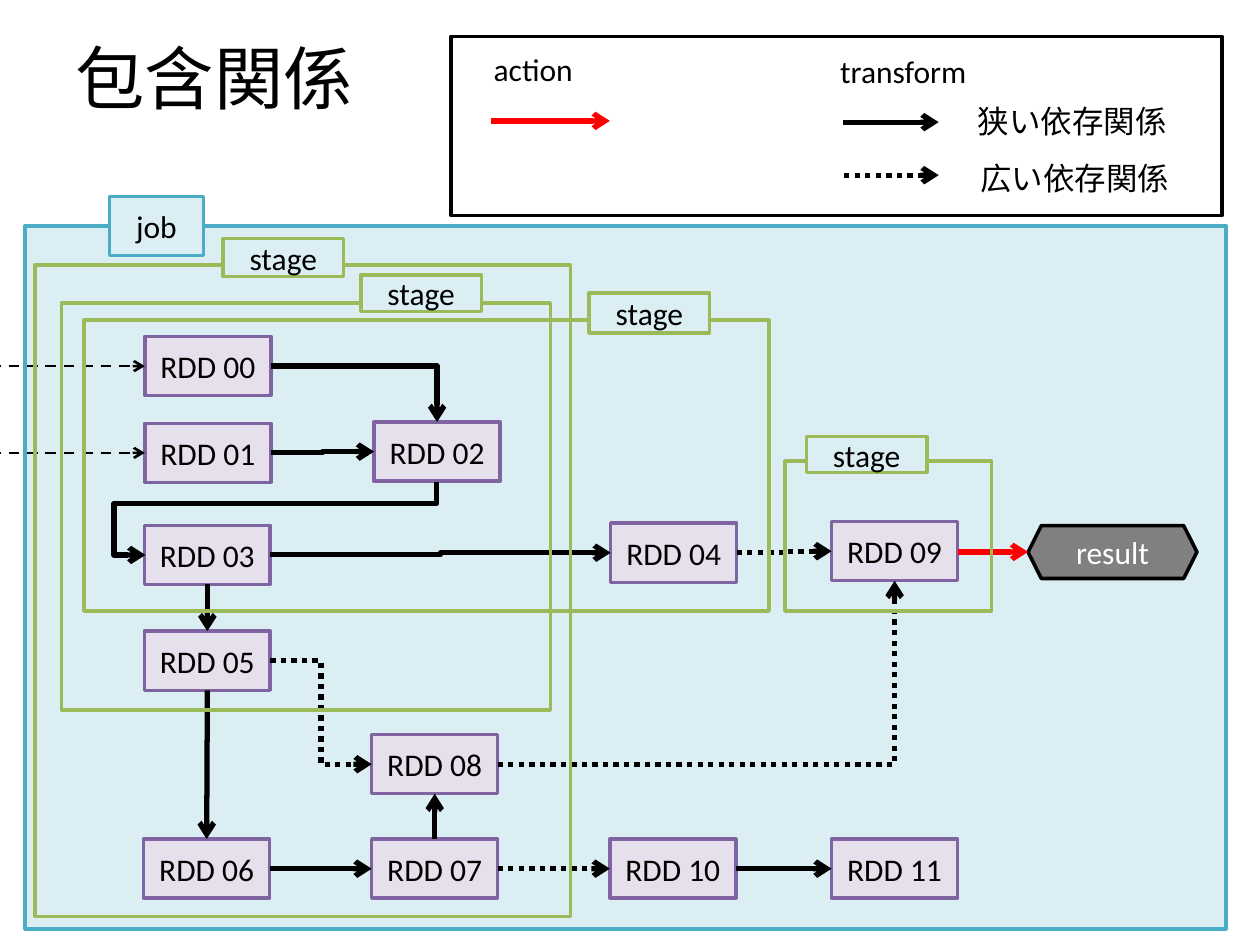
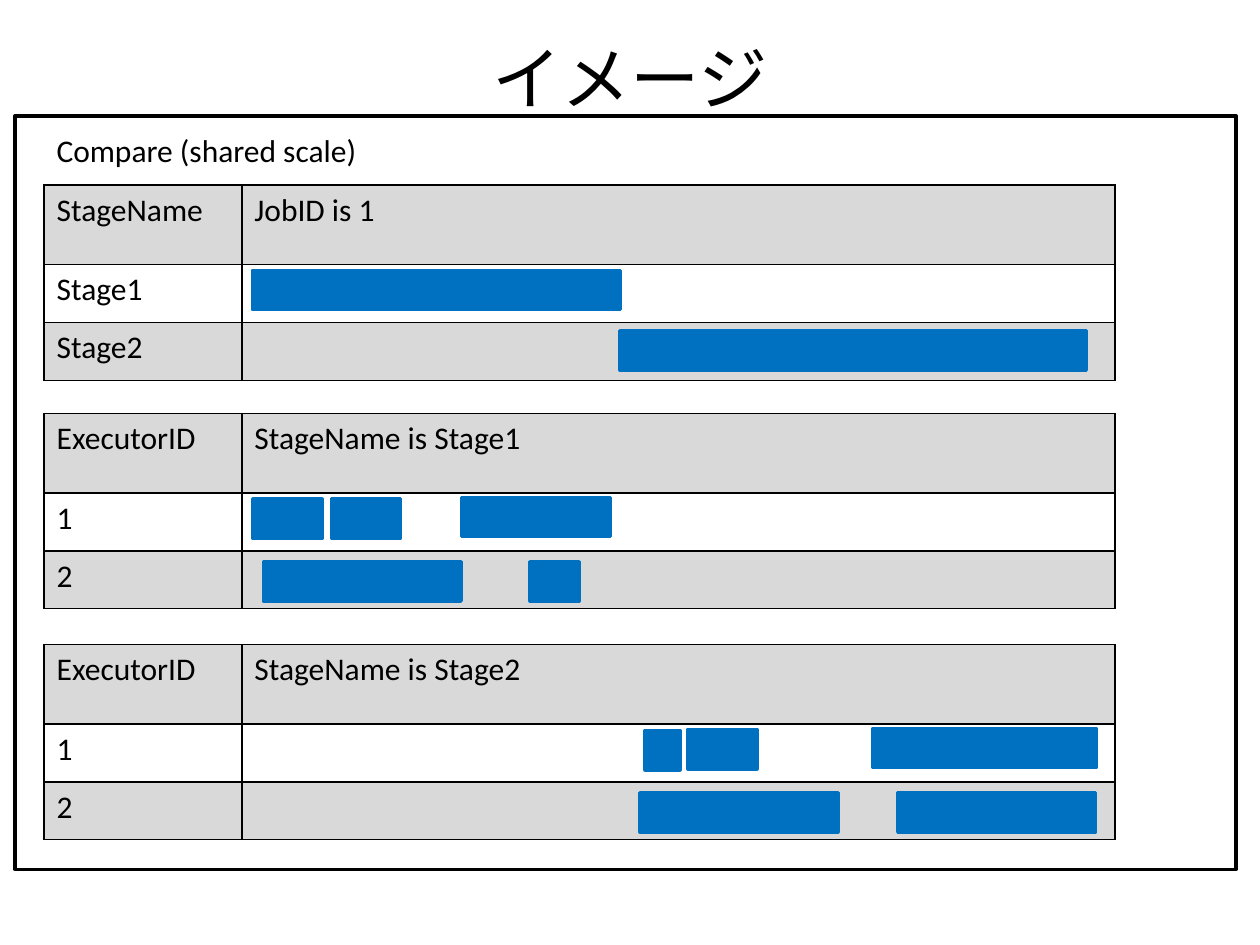
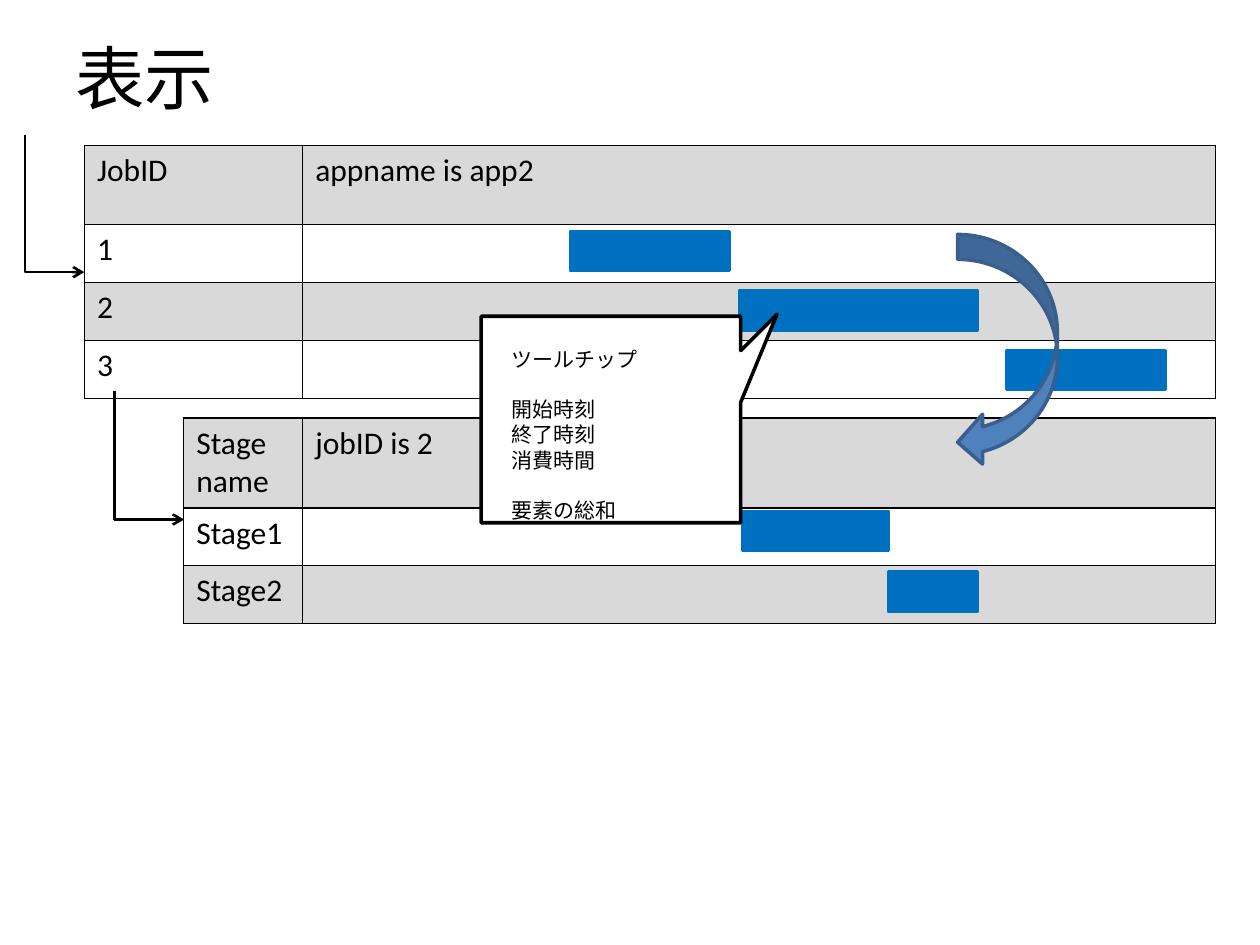
from lxml import etree
from pptx import Presentation
from pptx.dml.color import RGBColor
from pptx.enum.dml import MSO_LINE
from pptx.enum.shapes import MSO_CONNECTOR, MSO_SHAPE
from pptx.enum.text import MSO_ANCHOR, PP_ALIGN
from pptx.oxml.ns import qn
from pptx.util import Pt

RECT, HEX = MSO_SHAPE.RECTANGLE, MSO_SHAPE.HEXAGON
CURVE, CALL = MSO_SHAPE.CURVED_LEFT_ARROW, MSO_SHAPE.RECTANGULAR_CALLOUT
ELBOW, LINE = MSO_CONNECTOR.ELBOW, MSO_CONNECTOR.STRAIGHT
DOT, DASH = MSO_LINE.ROUND_DOT, MSO_LINE.DASH
LEFT, MID = PP_ALIGN.LEFT, PP_ALIGN.CENTER
TOP, LOW, WEST, EAST = 0, 2, 1, 3

FONT = "Calibri"
BLACK, WHITE, RED, GREY = "000000", "FFFFFF", "FF0000", "D9D9D9"
AQUA, PALE, GREEN, BLUE = "4BACC6", "DBEEF4", "9BBB59", "0070C0"
hue = RGBColor.from_string


def box(place, at, fill, edge, text="", ink=BLACK, kind=RECT):
    shape = place.add_shape(kind, *map(Pt, at))
    shape.shadow.inherit = False
    if fill:
        shape.fill.solid()
        shape.fill.fore_color.rgb = hue(fill)
    else:
        shape.fill.background()
    shape.line.color.rgb = hue(edge)
    shape.line.width = Pt(2)
    if text:
        para = shape.text_frame.paragraphs[0]
        para.text = text
        para.alignment = MID
        font = para.runs[0].font
        font.name, font.size, font.color.rgb = FONT, Pt(18), hue(ink)
    return shape


def wire(place, ends, color=BLACK, width=3, dash=None, bend=None, turn=0):
    kind = ELBOW if bend else LINE
    link = place.add_connector(kind, *map(Pt, ends))
    link.line.color.rgb = hue(color)
    link.line.width = Pt(width)
    if dash:
        link.line.dash_style = dash
    props = link._element.spPr
    etree.SubElement(props.find(qn("a:ln")), qn("a:tailEnd"), type="arrow")
    etree.SubElement(props, qn("a:effectLst"))
    if bend:
        props.find(qn("a:prstGeom")).set("prst", f"bentConnector{bend}")
    if turn:
        props.find(qn("a:xfrm")).set("rot", str(turn * 60000))
    return link


deck = Presentation()
deck.slide_width, deck.slide_height = Pt(720), Pt(540)

# Slides and titles
pages = []
for name, align in [("包含関係", LEFT), ("イメージ", MID), ("表示", LEFT)]:
    page = deck.slides.add_slide(deck.slide_layouts[5])
    title = page.shapes.title
    title.left, title.top, title.width, title.height = map(Pt, (36, 21.6, 648, 44))
    title.text_frame.text = name
    title.text_frame.vertical_anchor = MSO_ANCHOR.MIDDLE
    para = title.text_frame.paragraphs[0]
    para.alignment = align
    font = para.runs[0].font
    font.name, font.size, font.color.rgb = FONT, Pt(39.6), hue(BLACK)
    pages.append(page.shapes)
graph, chart, view = pages

# Slide 1: job frame and result
job = graph.add_group_shape().shapes
box(job, (14.4, 129, 686.2, 401.8), PALE, AQUA)
box(job, (62.6, 112.3, 53.6, 33.8), PALE, AQUA, "job")
box(graph, (587.5, 300.3, 96.5, 30.3), "808080", BLACK, "result", WHITE, HEX)

# Slide 1: RDD nodes
spots = [(82.8, 192.2), (82.8, 241.9), (213.8, 241.2), (82.5, 300.2),
         (349, 299), (82.5, 360.7), (82.1, 479.5), (212.4, 479.5),
         (212.4, 419.8), (475.2, 298.1), (348.5, 479.5), (475.2, 479.5)]
nodes = [box(graph, (x, y, 72, 33.8), "E6E0EC", "8064A2", f"RDD {i:02}")
         for i, (x, y) in enumerate(spots)]

# Slide 1: links between nodes
links = [(0, EAST, 2, TOP, 2, None), (1, EAST, 2, WEST, 3, None),
         (3, EAST, 4, WEST, 3, None), (3, LOW, 5, TOP, None, None),
         (5, LOW, 6, TOP, None, None), (5, EAST, 8, WEST, 3, DOT),
         (6, EAST, 7, WEST, 3, None), (7, TOP, 8, LOW, None, None),
         (8, EAST, 9, LOW, 2, DOT), (4, EAST, 9, WEST, 3, DOT),
         (7, EAST, 10, WEST, None, DOT), (10, EAST, 11, WEST, None, None)]
for a, out, b, into, bend, dash in links:
    link = wire(graph, (0, 0, 0, 0), dash=dash, bend=bend)
    link.begin_connect(nodes[a], out)
    link.end_connect(nodes[b], into)

# Slide 1: link that runs back from RDD 02 to RDD 03, turned a quarter
back = wire(graph, (0, 0, 0, 0), bend=4, turn=90)
back.begin_connect(nodes[2], LOW)
back.end_connect(nodes[3], WEST)
back.begin_x, back.begin_y = Pt(145.4), Pt(213)
back.end_x, back.end_y = Pt(187.2), Pt(379.4)
guides = back._element.spPr.find(qn("a:prstGeom")).get_or_add_avLst()
for name, size in [("adj1", 29600), ("adj2", 110800)]:
    etree.SubElement(guides, qn("a:gd"), name=name, fmla=f"val {size}")

# Slide 1: inputs, action and legend
for y in (209.2, 258.8):
    wire(graph, (-26.6, y, 82.8, y), width=1.5, dash=DASH)
wire(graph, (547.2, 315.4, 587.5, 315.4), RED)
box(graph, (257.8, 20.9, 440.6, 102.2), WHITE, BLACK)
wire(graph, (280.8, 69.1, 348.5, 69.1), RED)
wire(graph, (481.7, 69.8, 536.4, 69.8))
wire(graph, (482.4, 100.1, 536.4, 100.1), dash=DOT)

# Slide 1: stage frames with their tabs
stages = [((448.6, 263.5, 118.1, 85.7), (460.8, 249.5, 69, 20.5)),
          ((20, 151.6, 306, 372.2), (127.4, 136.3, 69, 21.8)),
          ((48, 183, 391.5, 166.2), (336.6, 167.3, 69, 23)),
          ((35.1, 173.2, 279.4, 232.6), (206.2, 157, 69, 21))]
for frame, tab in stages:
    group = graph.add_group_shape().shapes
    box(group, frame, None, GREEN)
    box(group, tab, PALE, GREEN, "stage")

# Slides 2 and 3: tables with bars (left, top, width)
box(chart, (8.6, 66.2, 697.7, 430.6), WHITE, BLACK)
grids = [
    (chart, 25.2, 105.8, (113, 499), ("StageName", "Stage1", "Stage2"),
     "JobID is 1", [(144.5, 154.5, 210), (354.2, 189, 266.6)]),
    (chart, 25.2, 236.3, (113, 499), ("ExecutorID", "1", "2"),
     "StageName is Stage1",
     [(144.5, 285.3, 39.6), (150.5, 321, 113), (189.4, 285, 39.6),
      (263.8, 284.2, 85), (303, 321, 28)]),
    (chart, 25.2, 368.3, (113, 499), ("ExecutorID", "1", "2"),
     "StageName is Stage2",
     [(368.6, 417.4, 20), (513, 453, 113), (393, 416.9, 39.6),
      (499, 416.2, 127.4), (365.8, 453, 113)]),
    (view, 105, 239, (68, 521.5), ("Stage\nname", "Stage1", "Stage2"),
     "jobID is 2", [(424.6, 292.2, 82.8), (507.6, 326.7, 51)]),
    (view, 48.3, 83, (124.7, 521.5), ("JobID", "1", "2", "3"),
     "appname is app2",
     [(326.2, 132.2, 90.7), (422.6, 166.2, 136), (575.3, 200.2, 90.7)])]
for place, x, y, wide, names, head, bars in grids:
    high = [45.4] + [33.1] * (len(names) - 1)
    table = place.add_table(len(names), 2, Pt(x), Pt(y), Pt(sum(wide)),
                            Pt(sum(high))).table
    table.first_row = table.horz_banding = False
    for col, size in zip(table.columns, wide):
        col.width = Pt(size)
    for i, name in enumerate(names):
        table.rows[i].height = Pt(high[i])
        for j, text in enumerate((name, "" if i else head)):
            cell = table.cell(i, j)
            props = cell._tc.get_or_add_tcPr()
            for side in ("lnL", "lnR", "lnT", "lnB"):
                edge = etree.SubElement(props, qn(f"a:{side}"), w="12700")
                paint = etree.SubElement(edge, qn("a:solidFill"))
                etree.SubElement(paint, qn("a:srgbClr"), val=BLACK)
            if i % 2:
                cell.fill.background()
            else:
                cell.fill.solid()
                cell.fill.fore_color.rgb = hue(GREY)
            cell.text_frame.text = text
            for para in cell.text_frame.paragraphs:
                for font in [para.font] + [run.font for run in para.runs]:
                    font.name, font.size = FONT, Pt(18)
                    font.color.rgb = hue(BLACK)
    for left, top, width in bars:
        box(place, (left, top, width, 22.5), BLUE, BLUE)

# Slide 3: drill-down arrows and callout
box(view, (547.2, 134, 57, 133), "4F81BD", "3A5F8C", kind=CURVE)
for x1, y1, x2, y2 in [(14.4, 77, 48.2, 155.5), (65.5, 223.2, 105.1, 296.9)]:
    midx, midy = (x1 + x2) / 2, (y1 + y2) / 2
    dx, dy = (x2 - x1) / 2, (y2 - y1) / 2
    wire(view, (midx + dy, midy - dx, midx - dy, midy + dx), width=1.5,
         bend=2, turn=270)
tip = box(view, (275, 180.7, 148.3, 118), WHITE, BLACK, kind=CALL)
tip.adjustments[0], tip.adjustments[1] = 0.64, -0.51

# Text labels; a gap goes before the lines listed last
labels = [
    (graph, (551.5, 54.7, 147.6, 29), 18, "狭い依存関係", ()),
    (graph, (553, 87.1, 147.6, 29), 18, "広い依存関係", ()),
    (graph, (473, 26, 147.6, 29), 18, "transform", ()),
    (graph, (275, 25.2, 147.6, 29), 18, "action", ()),
    (chart, (25.2, 71.3, 209.5, 29), 18, "Compare (shared scale)", ()),
    (view, (285.1, 194.4, 113, 108.7), 12,
     "ツールチップ\n開始時刻\n終了時刻\n消費時間\n要素の総和", (1, 4))]
for place, at, size, text, gaps in labels:
    frame = place.add_textbox(*map(Pt, at)).text_frame
    frame.word_wrap = True
    frame.text = text
    for i, para in enumerate(frame.paragraphs):
        if i in gaps:
            para.space_before = Pt(14.4)
        font = para.runs[0].font
        font.name, font.size, font.color.rgb = FONT, Pt(size), hue(BLACK)

deck.save("out.pptx")
